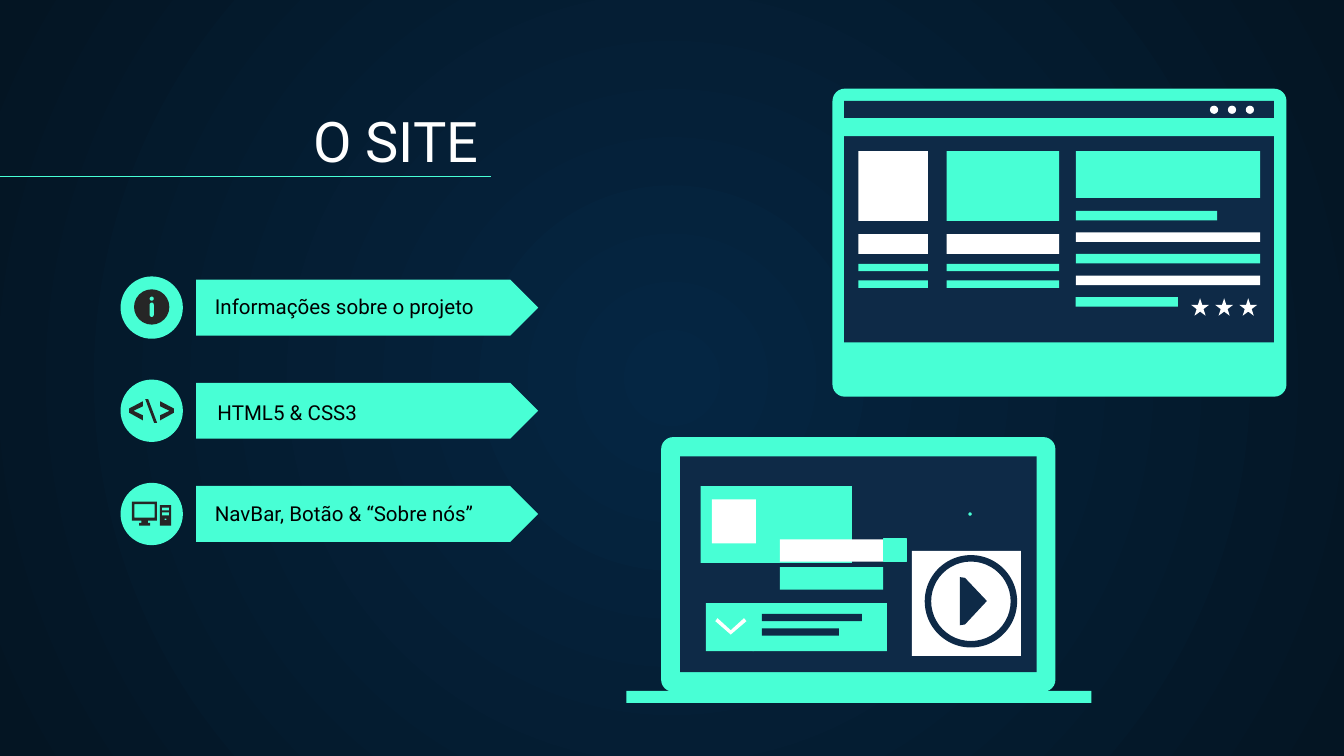
from lxml.etree import SubElement
from pptx import Presentation
from pptx.dml.color import RGBColor
from pptx.enum.shapes import MSO_CONNECTOR as Connector, MSO_SHAPE as Shape
from pptx.enum.text import MSO_ANCHOR as Anchor, MSO_AUTO_SIZE as AutoSize, PP_ALIGN as Align
from pptx.oxml.ns import qn
from pptx.util import Pt

MINT, NAVY, WHITE, DARK, BLACK = "48FFD5", "0E2A47", "FFFFFF", "262626", "000000"
ITEM_PITCH = 55.3


def rgb(hex_color):
    return RGBColor.from_string(hex_color)


def paint(part, color):
    part.shadow.inherit = False
    part.fill.solid()
    part.fill.fore_color.rgb = rgb(color)
    part.line.fill.background()
    return part


def block(slide, box, color, kind=Shape.RECTANGLE, adjust=None):
    part = paint(slide.shapes.add_shape(kind, *map(Pt, box)), color)
    if adjust is not None:
        part.adjustments[0] = adjust
    return part


def outline(slide, contours, color):
    """Draw a filled polygon; contours after the first cut holes or add parts."""
    builder = None
    for contour in contours:
        start, *rest = [(Pt(x), Pt(y)) for x, y in contour]
        if builder is None:
            builder = slide.shapes.build_freeform(*start, scale=1.0)
        else:
            builder.move_to(*start)
        builder.add_line_segments(rest, close=True)
    return paint(builder.convert_to_shape(), color)


def corners(x, y, width, height):
    return [(x, y), (x + width, y), (x + width, y + height), (x, y + height)]


def write(holder, box, text, size, color):
    for name, value in zip(("left", "top", "width", "height"), box):
        setattr(holder, name, Pt(value))
    frame = holder.text_frame
    frame_format = {"word_wrap": True, "auto_size": AutoSize.NONE,
                    "vertical_anchor": Anchor.BOTTOM}
    for side in ("left", "top", "right", "bottom"):
        frame_format["margin_" + side] = Pt(7.2)
    for name, value in frame_format.items():
        setattr(frame, name, value)
    paragraph = frame.paragraphs[0]
    paragraph.alignment = Align.LEFT
    run = paragraph.add_run()
    run.text = text
    for name, value in {"name": "Roboto", "size": Pt(size)}.items():
        setattr(run.font, name, value)
    run.font.color.rgb = rgb(color)


def radial_background(slide, center, edge):
    fill = slide.background.fill
    fill.gradient()
    for stop, color in zip(fill.gradient_stops, (center, edge)):
        stop.color.rgb = rgb(color)
    gradient = slide.element.find(".//" + qn("a:gradFill"))
    gradient.remove(gradient.find(qn("a:lin")))
    circle = SubElement(gradient, qn("a:path"), {"path": "circle"})
    SubElement(circle, qn("a:fillToRect"), dict.fromkeys("ltrb", "50000"))


def heading(slide):
    write(slide.shapes.title, (160.6, 52.6, 617, 47.5), "O SITE", 30, WHITE)
    rule = slide.shapes.add_connector(Connector.STRAIGHT, Pt(0), Pt(94.4), Pt(263), Pt(94.4))
    rule.line.color.rgb = rgb(MINT)
    rule.line.width = Pt(0.75)
    SubElement(rule._element.spPr, qn("a:effectLst"))


def topics(slide):
    labels = (("Informações sobre o projeto", 108, 162.7),
              ("HTML5 & CSS3", 109.4, 219.6),
              ("NavBar, Botão & “Sobre nós”", 108, 273.6))
    for row, (label, left, top) in enumerate(labels):
        offset = row * ITEM_PITCH
        block(slide, (105.1, 149.8 + offset, 183.2, 30), MINT, Shape.PENTAGON, 0.5)
        block(slide, (64.6, 148.1 + offset, 33.4, 33.4), MINT, Shape.OVAL)
        write(slide.shapes.add_textbox(0, 0, 0, 0), (left, top, 163.4, 15.1), label, 11, BLACK)


def topic_icons(slide):
    # Information mark
    block(slide, (71.8, 155, 18.9, 18.9), DARK, Shape.OVAL)
    block(slide, (80.2, 158.9, 2.2, 2.2), MINT, Shape.OVAL)
    block(slide, (80.2, 162.1, 2.2, 7.7), MINT, Shape.ROUNDED_RECTANGLE, 0.5)

    # Code mark: two mirrored brackets and a slash
    bracket = [(76.5, 225.2), (69.1, 221.1), (69.1, 218.9), (76.5, 215),
               (76.5, 217.7), (71.5, 220.1), (76.5, 222.5)]
    outline(slide, [bracket], DARK)
    outline(slide, [[(162.3 - x, y) for x, y in bracket]], DARK)
    outline(slide, [[(77.8, 213.8), (79.4, 213.8), (84.2, 226.6), (82.6, 226.6)]], DARK)

    # Computer: monitor with stand, then tower
    monitor = [(70.7, 268.7), (84.1, 268.7), (84.1, 278.9), (79.2, 278.9),
               (79.2, 280.2), (80.5, 280.2), (80.5, 281.6), (74.5, 281.6),
               (74.5, 280.2), (75.8, 280.2), (75.8, 278.9), (70.7, 278.9)]
    outline(slide, [monitor, corners(72, 270.1, 10.8, 7.3)], DARK)
    tower = [(85.7, 270.6, 6, 11), (86.8, 272, 3.9, 1.5),
             (86.8, 274.5, 3.9, 1.6), (88.3, 277.9, 0.8, 0.8)]
    outline(slide, [corners(*part) for part in tower], DARK)


def browser(slide):
    block(slide, (446, 47.5, 243.2, 165), MINT, Shape.ROUNDED_RECTANGLE, 0.04)
    block(slide, (452.2, 54, 230.2, 129.4), NAVY)
    block(slide, (452.2, 63.3, 230.2, 9.6), MINT)

    # Window buttons and rating stars
    for step in range(3):
        block(slide, (648.2 + 9.6 * step, 56.6, 4.4, 4.4), WHITE, Shape.OVAL)
        block(slide, (638.1 + 12.9 * step, 159.8, 9.6, 9.4), WHITE, Shape.STAR_5_POINT)

    # Two product columns: tile, caption and two lines
    for left, width, tile_color in ((459.8, 37.3, WHITE), (507.2, 60.2, MINT)):
        for top, height, color in ((81, 37.4, tile_color), (125.4, 10.7, WHITE),
                                   (141.3, 4, MINT), (150.2, 4, MINT)):
            block(slide, (left, top, width, height), color)

    # Banner with text lines
    block(slide, (576.3, 81, 98.8, 25.1), MINT)
    for row, width in enumerate((75.7, 98.8, 98.8, 98.8, 54.7)):
        block(slide, (576.3, 113 + 11.55 * row, width, 5.1), WHITE if row % 2 else MINT)


def laptop(slide):
    block(slide, (354.2, 234.2, 211.2, 136.4), MINT, Shape.ROUNDED_RECTANGLE, 0.047)
    block(slide, (364.4, 244.5, 191, 115.6), NAVY)
    block(slide, (335.5, 370.2, 249.2, 6.4), MINT)

    # Profile card, menu card and form fields
    for box, color in (((375.4, 260.4, 81, 41.2), MINT),
                       ((381.4, 267.5, 23.6, 23.6), WHITE),
                       ((378.2, 323.1, 25.6, 25.8), MINT),
                       ((403.2, 323.1, 72, 25.8), MINT),
                       ((408.2, 328.9, 53.6, 3.9), NAVY),
                       ((408.2, 336.6, 41.3, 3.9), NAVY),
                       ((417.8, 303.8, 55.4, 12.2), MINT),
                       ((417.8, 288.9, 55.4, 12), WHITE)):
        block(slide, box, color)
    send_button = block(slide, (473.2, 288.7, 12.4, 12.2), MINT)
    send_button.line.color.rgb = rgb(MINT)
    send_button.line.width = Pt(0.75)
    chevron = [(384.4, 331.2), (391.5, 337.7), (398.6, 331.2),
               (399.9, 332.8), (391.5, 340), (383.2, 332.8)]
    outline(slide, [chevron], WHITE)

    # Video with play button
    block(slide, (488.5, 295.2, 58.4, 56.3), WHITE)
    block(slide, (495.4, 297.4, 49.5, 49.5), NAVY, Shape.DONUT, 0.07)
    play = [(514.2, 309.2), (517, 309.6), (528.7, 322), (517, 334.6), (514.2, 335)]
    outline(slide, [play], NAVY)
    block(slide, (518.8, 274.5, 1.8, 1.8), MINT, Shape.OVAL)


def main():
    deck = Presentation()
    deck.slide_width, deck.slide_height = Pt(720), Pt(405)
    slide = deck.slides.add_slide(deck.slide_layouts[5])
    radial_background(slide, "052643", "041523")
    heading(slide)
    topics(slide)
    topic_icons(slide)
    browser(slide)
    laptop(slide)
    deck.save("out.pptx")


if __name__ == "__main__":
    main()
